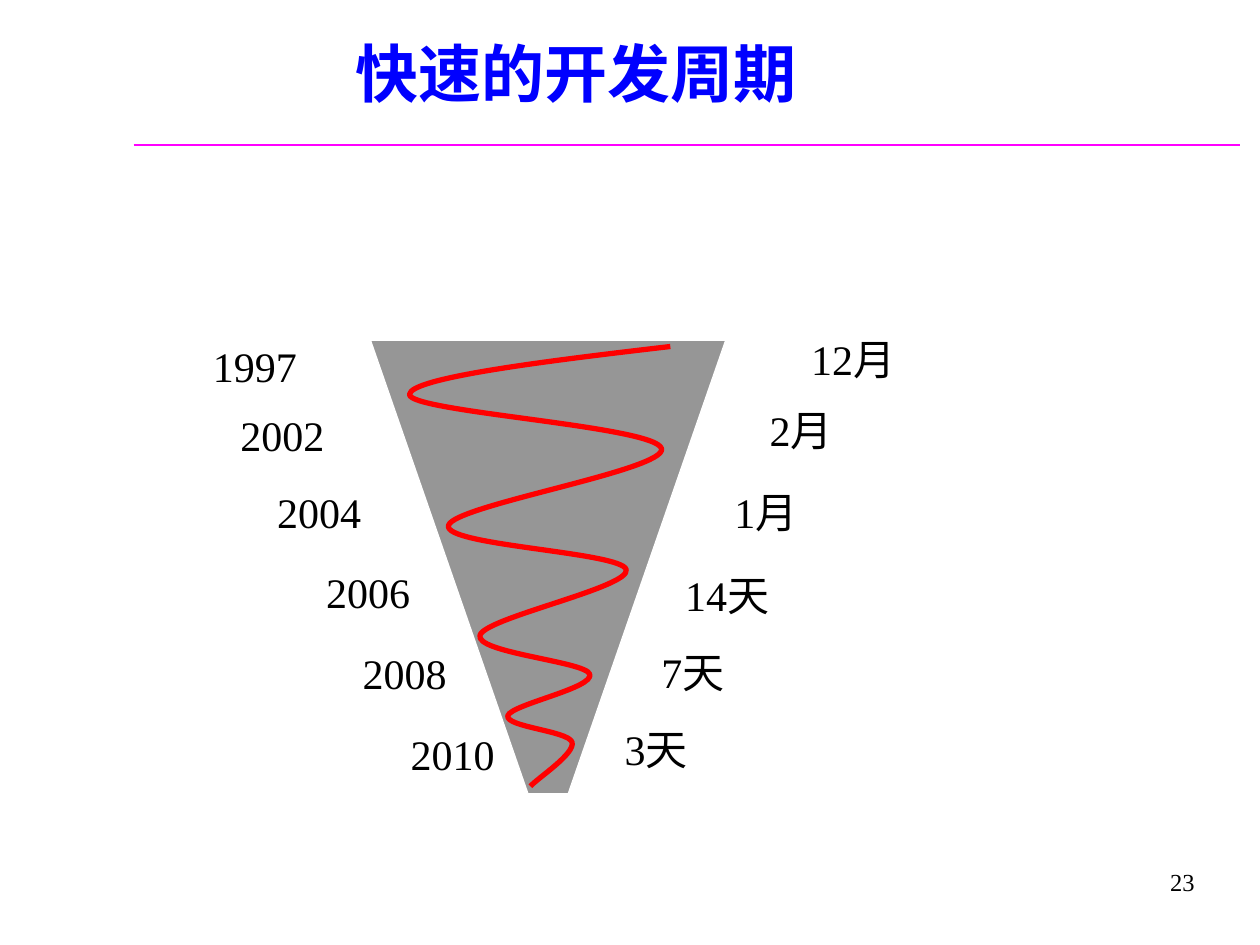
from lxml.etree import SubElement
from pptx import Presentation
from pptx.dml.color import RGBColor
from pptx.enum.shapes import MSO_CONNECTOR
from pptx.enum.text import MSO_ANCHOR, MSO_AUTO_SIZE, PP_ALIGN
from pptx.oxml.ns import qn
from pptx.util import Inches, Pt

# Content: text, left, top
TITLE = "快速的开发周期"
PAGE_NUMBER = "23"
YEARS = [
    ("1997", 1.59, 2.65), ("2002", 1.81, 3.2), ("2004", 2.1, 3.81),
    ("2006", 2.49, 4.45), ("2008", 2.78, 5.09), ("2010", 3.16, 5.73),
]
CYCLES = [
    ("12月", 6.34, 2.6), ("2月", 6.01, 3.16), ("1月", 5.73, 3.81),
    ("14天", 5.34, 4.47), ("7天", 5.15, 5.08), ("3天", 4.86, 5.69),
]
LABEL_WIDTHS = {2: 0.8, 3: 0.97, 4: 0.88}  # by number of characters
FUNNEL = [(2.94, 2.7), (4.19, 6.3), (4.51, 6.3), (5.76, 2.7)]
# Start point, then two control points and an end point per swing
SPIRAL = [
    (5.32, 2.75),
    (4.29, 2.87), (3.26, 3), (3.25, 3.13),
    (3.24, 3.27), (5.2, 3.38), (5.25, 3.56),
    (5.3, 3.73), (3.6, 4.01), (3.56, 4.17),
    (3.51, 4.33), (4.93, 4.38), (4.97, 4.52),
    (5.01, 4.66), (3.86, 4.9), (3.81, 5.04),
    (3.76, 5.18), (4.65, 5.25), (4.68, 5.35),
    (4.72, 5.46), (4.06, 5.59), (4.03, 5.68),
    (4.01, 5.77), (4.51, 5.8), (4.54, 5.89),
    (4.57, 5.98), (4.26, 6.18), (4.21, 6.24),
]
THEME = {
    "title": RGBColor(0, 0, 255), "text": RGBColor(0, 0, 0),
    "rule": RGBColor(255, 0, 255), "funnel": RGBColor(150, 150, 150),
    "edge": RGBColor(255, 255, 255), "spiral": RGBColor(255, 0, 0),
    "latin": "Times New Roman", "chinese": "Noto Sans CJK SC",
    "title_size": 36, "label_size": 24, "number_size": 14,
}


def add_text(slide, text, box, size, color="text", font="latin", bold=False,
             align=PP_ALIGN.LEFT, anchor=MSO_ANCHOR.TOP, wrap=True):
    shape = slide.shapes.add_textbox(*map(Inches, box))
    frame = shape.text_frame
    frame.word_wrap = wrap
    frame.auto_size = MSO_AUTO_SIZE.NONE if wrap else MSO_AUTO_SIZE.SHAPE_TO_FIT_TEXT
    frame.vertical_anchor = anchor
    paragraph = frame.paragraphs[0]
    paragraph.text = text
    paragraph.alignment = align
    paragraph.font.size = Pt(size)
    paragraph.font.bold = bold
    paragraph.font.color.rgb = THEME[color]
    paragraph.font.name = THEME[font]
    properties = paragraph._p.pPr.find(qn("a:defRPr"))
    SubElement(properties, qn("a:ea")).set("typeface", THEME["chinese"])


def add_outline(slide, points, line, width, close):
    points = [(Inches(x), Inches(y)) for x, y in points]
    builder = slide.shapes.build_freeform(*points[0])
    builder.add_line_segments(points[1:], close=close)
    shape = builder.convert_to_shape()
    shape.shadow.inherit = False
    shape.line.color.rgb = THEME[line]
    shape.line.width = Pt(width)
    return shape


def bend(shape):
    """Turn every three straight segments into one Bézier curve."""
    segments = list(shape._element.iter(qn("a:lnTo")))
    outline = segments[0].getparent()
    for start in range(0, len(segments), 3):
        curve = SubElement(outline, qn("a:cubicBezTo"))
        for segment in segments[start:start + 3]:
            curve.append(segment[0])
            outline.remove(segment)


def main():
    presentation = Presentation()
    presentation.slide_width, presentation.slide_height = Inches(10), Inches(7.5)
    slide = presentation.slides.add_slide(presentation.slide_layouts[6])

    # Rule under the title
    rule = slide.shapes.add_connector(
        MSO_CONNECTOR.STRAIGHT, Inches(1.06), Inches(1.15), Inches(9.84), Inches(1.15))
    rule.line.color.rgb = THEME["rule"]
    rule.line.width = Pt(1.5)
    SubElement(rule._element.spPr, qn("a:effectLst"))

    # Page number and title
    add_text(slide, PAGE_NUMBER, (7.5, 6.75, 2.08, 0.5), THEME["number_size"],
             align=PP_ALIGN.RIGHT, anchor=MSO_ANCHOR.MIDDLE)
    add_text(slide, TITLE, (0.5, 0.25, 8.15, 0.67), THEME["title_size"],
             color="title", font="chinese", bold=True,
             align=PP_ALIGN.CENTER, anchor=MSO_ANCHOR.BOTTOM)

    # Funnel with the narrowing spiral
    funnel = add_outline(slide, FUNNEL, "edge", 0.75, close=True)
    funnel.fill.solid()
    funnel.fill.fore_color.rgb = THEME["funnel"]
    spiral = add_outline(slide, SPIRAL, "spiral", 3, close=False)
    spiral.fill.background()
    bend(spiral)

    # Years on the left, cycle lengths on the right
    for text, left, top in YEARS + CYCLES:
        box = (left, top, LABEL_WIDTHS[len(text)], 0.5)
        add_text(slide, text, box, THEME["label_size"], wrap=False)

    presentation.save("out.pptx")


if __name__ == "__main__":
    main()
